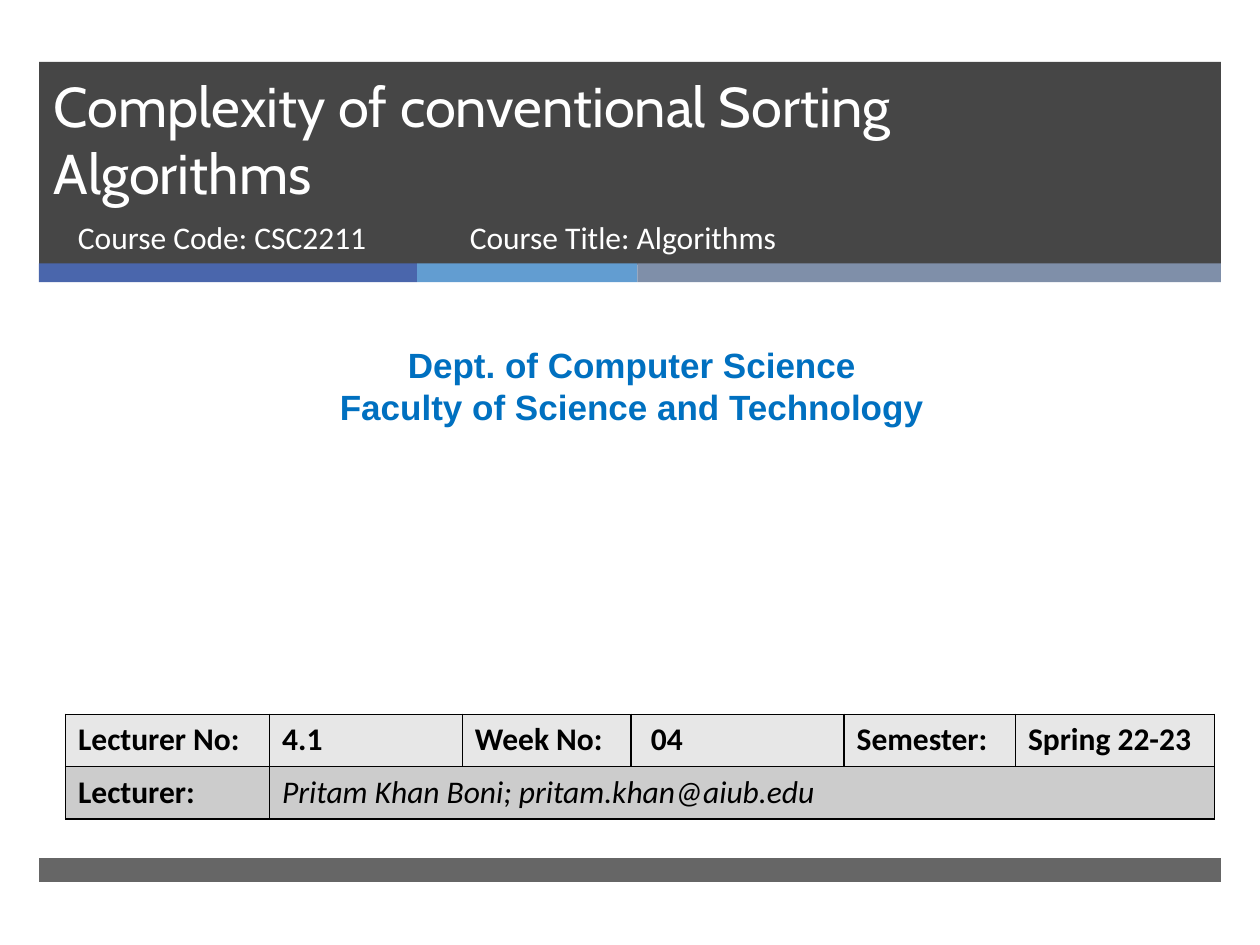
from lxml import etree
from pptx import Presentation
from pptx.dml.color import RGBColor
from pptx.enum.shapes import MSO_SHAPE
from pptx.enum.text import MSO_ANCHOR, PP_ALIGN
from pptx.oxml.ns import qn
from pptx.util import Inches, Pt

RECTANGLE = MSO_SHAPE.RECTANGLE
TOP, BOTTOM = MSO_ANCHOR.TOP, MSO_ANCHOR.BOTTOM
LEFT, CENTER = PP_ALIGN.LEFT, PP_ALIGN.CENTER


def color(hex_string):
    return RGBColor.from_string(hex_string)


def add_run(paragraph, text, size, font_name, hex_string, bold=False, italic=False):
    run = paragraph.add_run()
    run.text = text
    run.font.size = Pt(size)
    run.font.name = font_name
    run.font.color.rgb = color(hex_string)
    run.font.bold = bold
    run.font.italic = italic


presentation = Presentation()
presentation.slide_width = Inches(10)
presentation.slide_height = Inches(7.5)
slide = presentation.slides.add_slide(presentation.slide_layouts[6])

# Header band, three-colour stripe and footer band: left, top, width, height, fill, opacity %
bands = [
    (0.31, 0.49, 9.38, 1.61, "262626", 85),
    (0.31, 2.09, 3, 0.15, "4A66AC", 100),
    (3.31, 2.09, 1.75, 0.15, "629DD1", 100),
    (5.06, 2.09, 4.63, 0.15, "7F8FA9", 100),
    (0.31, 6.81, 9.38, 0.19, "262626", 70),
]
for left, top, width, height, fill, opacity in bands:
    band = slide.shapes.add_shape(
        RECTANGLE, Inches(left), Inches(top), Inches(width), Inches(height))
    band.shadow.inherit = False
    band.line.fill.background()
    band.fill.solid()
    band.fill.fore_color.rgb = color(fill)
    if opacity < 100:
        fill_color = band.fill._xPr.find(qn("a:solidFill"))[0]
        etree.SubElement(fill_color, qn("a:alpha"), val=str(opacity * 1000))

# Text boxes: position, anchor, alignment, lines, size, font, colour, bold
texts = [
    ((0.33, 0.49, 8.54, 1.19), BOTTOM, LEFT,
     ["Complexity of conventional Sorting Algorithms"], 32, "Cabin", "FFFFFF", False),
    ((0.52, 1.68, 3.05, 0.53), TOP, LEFT,
     ["Course Code: CSC2211"], 18, "Calibri", "FFFFFF", False),
    ((3.63, 1.68, 4.55, 0.53), TOP, LEFT,
     ["Course Title: Algorithms"], 18, "Calibri", "FFFFFF", False),
    ((0.08, 2.68, 9.87, 0.77), TOP, CENTER,
     ["Dept. of Computer Science", "Faculty of Science and Technology"],
     20, "Arial", "0070C0", True),
]
for position, anchor, alignment, lines, size, font_name, text_color, bold in texts:
    text_frame = slide.shapes.add_textbox(*map(Inches, position)).text_frame
    text_frame.word_wrap = True
    text_frame.vertical_anchor = anchor
    for index, line in enumerate(lines):
        paragraph = text_frame.add_paragraph() if index else text_frame.paragraphs[0]
        paragraph.alignment = alignment
        add_run(paragraph, line, size, font_name, text_color, bold)

# Lecture details
column_widths = [1.62, 1.53, 1.34, 1.69, 1.36, 1.58]
row_height = 0.415
rows = [
    ("E7E7E7", ["Lecturer No:", "4.1", "Week No:", " 04", "Semester:", "Spring 22-23"]),
    ("CCCCCC", ["Lecturer:", "Pritam Khan Boni; pritam.khan@aiub.edu"]),
]
table = slide.shapes.add_table(
    len(rows), len(column_widths), Inches(0.52), Inches(5.67),
    Inches(sum(column_widths)), Inches(row_height * len(rows))).table
for column, width in zip(table.columns, column_widths):
    column.width = Inches(width)
table.cell(1, 1).merge(table.cell(1, 5))

for row_index, (fill, values) in enumerate(rows):
    table.rows[row_index].height = Inches(row_height)
    for column_index in range(len(column_widths)):
        cell = table.cell(row_index, column_index)
        if column_index < len(values):
            is_lecturer_name = (row_index, column_index) == (1, 1)
            add_run(cell.text_frame.paragraphs[0], values[column_index], 18, "Calibri",
                    "000000", bold=not is_lecturer_name, italic=is_lecturer_name)
        properties = cell._tc.get_or_add_tcPr()
        for side in ("a:lnL", "a:lnR", "a:lnT", "a:lnB"):
            border = etree.SubElement(properties, qn(side), w=str(Pt(1)))
            border_fill = etree.SubElement(border, qn("a:solidFill"))
            etree.SubElement(border_fill, qn("a:srgbClr"), val="000000")
        cell.fill.solid()
        cell.fill.fore_color.rgb = color(fill)

presentation.save("out.pptx")
